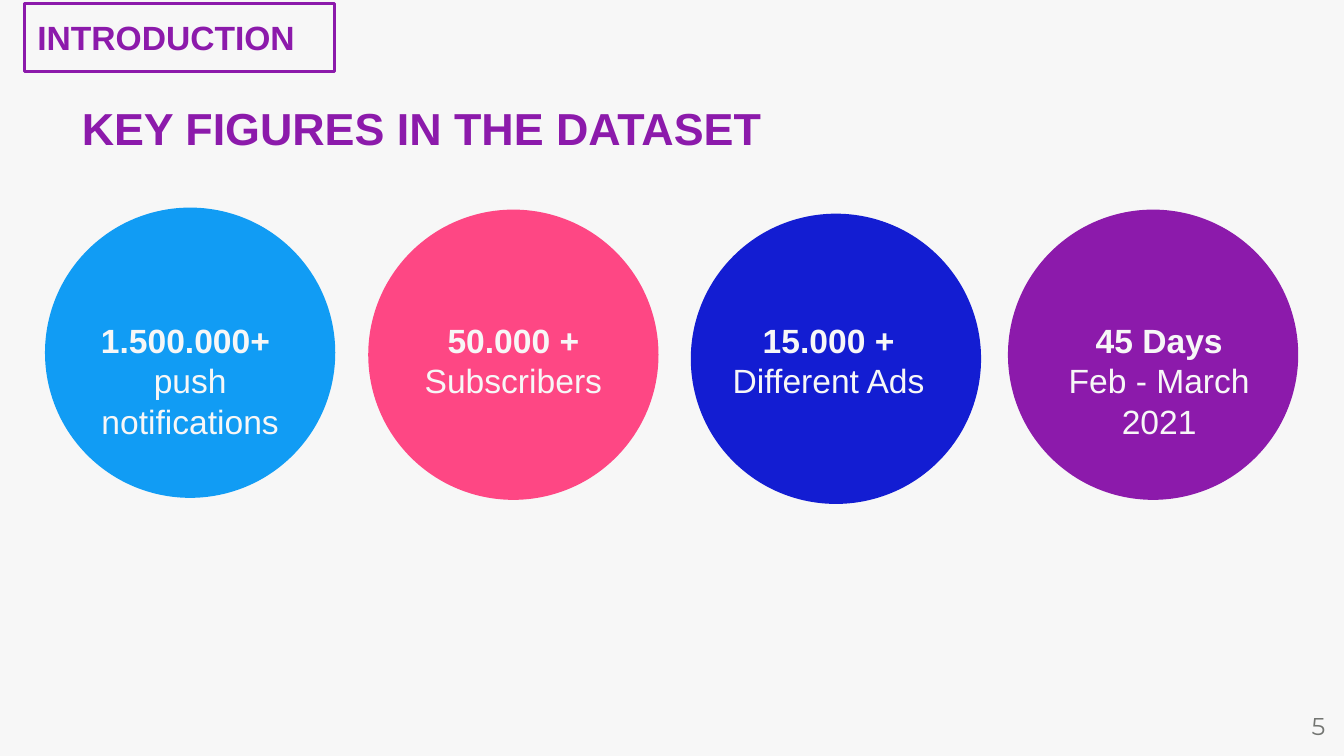
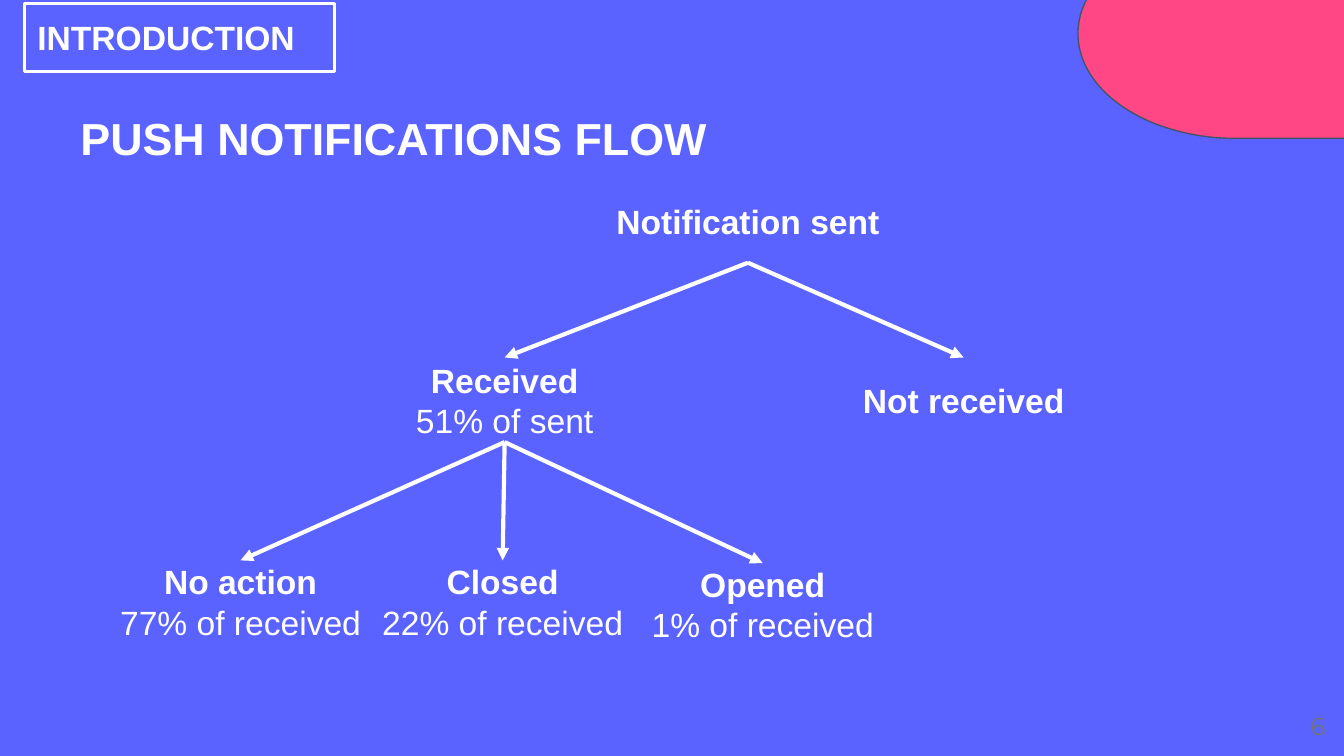
from lxml.etree import SubElement
from pptx import Presentation
from pptx.dml.color import RGBColor
from pptx.enum.shapes import MSO_CONNECTOR, MSO_SHAPE
from pptx.enum.text import MSO_ANCHOR, PP_ALIGN
from pptx.oxml.ns import qn
from pptx.util import Pt

PX = 4572  # EMU per px, 200 px to the inch
COLORS = {
    "paper": "F7F7F7", "white": "FFFFFF", "indigo": "5A63FF", "purple": "8C1AAB",
    "sky": "119CF4", "pink": "FE4784", "blue": "131DD2", "slate": "445469", "grey": "737572",
}
TOP, BOTTOM = 0, 2  # connection sites of a rectangle


def rgb(name):
    return RGBColor.from_string(COLORS[name])


def write_text(frame, lines, *, color, size=18, font="Arial", bold_lines=1,
               align=PP_ALIGN.CENTER, anchor=MSO_ANCHOR.TOP, insets=(20, 20)):
    """Write one paragraph per line; the first bold_lines of them are bold."""
    frame.word_wrap = True
    frame.vertical_anchor = anchor
    frame.margin_left = frame.margin_right = insets[0] * PX
    frame.margin_top = frame.margin_bottom = insets[1] * PX
    for index, line in enumerate(lines):
        paragraph = frame.paragraphs[0] if index == 0 else frame.add_paragraph()
        paragraph.alignment = align
        run = paragraph.add_run()
        run.text = line
        run.font.name, run.font.size = font, Pt(size)
        run.font.bold = index < bold_lines
        run.font.color.rgb = rgb(color)


class Deck:
    """Holds the shared style, the current slide and its accent colour."""

    def __init__(self, width, height):
        self.presentation = Presentation()
        self.presentation.slide_width = width * PX
        self.presentation.slide_height = height * PX
        self.slide = None
        self.accent = None

    def new_slide(self, number, background, accent):
        self.slide = self.presentation.slides.add_slide(self.presentation.slide_layouts[6])
        self.accent = accent
        fill = self.slide.background.fill
        fill.solid()
        fill.fore_color.rgb = rgb(background)
        self.text((1872, 1038, 120, 86), [str(number)], color="grey", size=13,
                  font="Montserrat", bold_lines=0, align=PP_ALIGN.RIGHT)

    def text(self, box, lines, **style):
        shape = self.slide.shapes.add_textbox(*(length * PX for length in box))
        write_text(shape.text_frame, lines, **style)
        return shape

    def shape(self, kind, box, fill=None, line=None, line_width=1.0):
        shape = self.slide.shapes.add_shape(kind, *(length * PX for length in box))
        shape.shadow.inherit = False
        if fill:
            shape.fill.solid()
            shape.fill.fore_color.rgb = rgb(fill)
        else:
            shape.fill.background()
        if line:
            shape.line.color.rgb = rgb(line)
            shape.line.width = Pt(line_width)
        else:
            shape.line.fill.background()
        return shape

    def heading(self, section, title, left, top):
        self.text((left, top, 1198, 122), [title], color=self.accent, size=24,
                  align=PP_ALIGN.LEFT)
        tag = self.shape(MSO_SHAPE.RECTANGLE, (36, 5, 462, 101), line=self.accent, line_width=1.5)
        write_text(tag.text_frame, [section], color=self.accent, align=PP_ALIGN.LEFT)

    def node(self, box, *lines):
        return self.text(box, lines, color=self.accent, anchor=MSO_ANCHOR.MIDDLE, insets=(8, 4))

    def arrow(self, parent, child):
        """Join the bottom of the parent to the top of the child."""
        connector = self.slide.shapes.add_connector(MSO_CONNECTOR.STRAIGHT, 0, 0, 0, 0)
        connector.begin_connect(parent, BOTTOM)
        connector.end_connect(child, TOP)
        connector.line.color.rgb = rgb(self.accent)
        connector.line.width = Pt(2.25)
        properties = connector._element.spPr
        SubElement(properties.find(qn("a:ln")), qn("a:tailEnd"), type="triangle")
        SubElement(properties, qn("a:effectLst"))


def add_key_figures(deck):
    deck.new_slide(5, "paper", "purple")
    diameter = 432
    # circle left, circle top, colour, label left, label height, lines
    figures = [
        (67, 309, "sky", 82, 222, ["1.500.000+ ", "push notifications"]),
        (548, 312, "pink", 563, 162, ["50.000 +", "Subscribers"]),
        (1028, 318, "blue", 1039, 162, ["15.000 + ", "Different Ads "]),
        (1500, 312, "purple", 1524, 222, ["45 Days", "Feb - March", "2021"]),
    ]
    for left, top, color, label_left, label_height, lines in figures:
        deck.shape(MSO_SHAPE.OVAL, (left, top, diameter, diameter), fill=color)
        deck.text((label_left, 456, 402, label_height), lines, color="paper")
    deck.heading("INTRODUCTION", "KEY FIGURES IN THE DATASET", 102, 130)


def add_notification_flow(deck):
    deck.new_slide(6, "indigo", "white")
    corner = deck.shape(MSO_SHAPE.FLOWCHART_DELAY, (1604, -106, 470, 312),
                        fill="pink", line="slate", line_width=0.75)
    corner.rotation = 180

    sent = deck.node((894, 266, 438, 125), "Notification sent")
    received = deck.node((409, 532, 684, 126), "Received", "51% of sent")
    not_received = deck.node((1092, 532, 684, 126), "Not received")
    outcomes = [
        deck.node((166, 834, 384, 122), "No action", "77% of received"),
        deck.node((553, 834, 390, 122), "Closed", "22% of received"),
        deck.node((940, 838, 390, 122), "Opened", "1% of received"),
    ]
    for parent, children in ((sent, [received, not_received]), (received, outcomes)):
        for child in children:
            deck.arrow(parent, child)
    deck.heading("INTRODUCTION", "PUSH NOTIFICATIONS FLOW", 100, 145)


def main():
    deck = Deck(2000, 1125)
    add_key_figures(deck)
    add_notification_flow(deck)
    deck.presentation.save("out.pptx")


if __name__ == "__main__":
    main()
